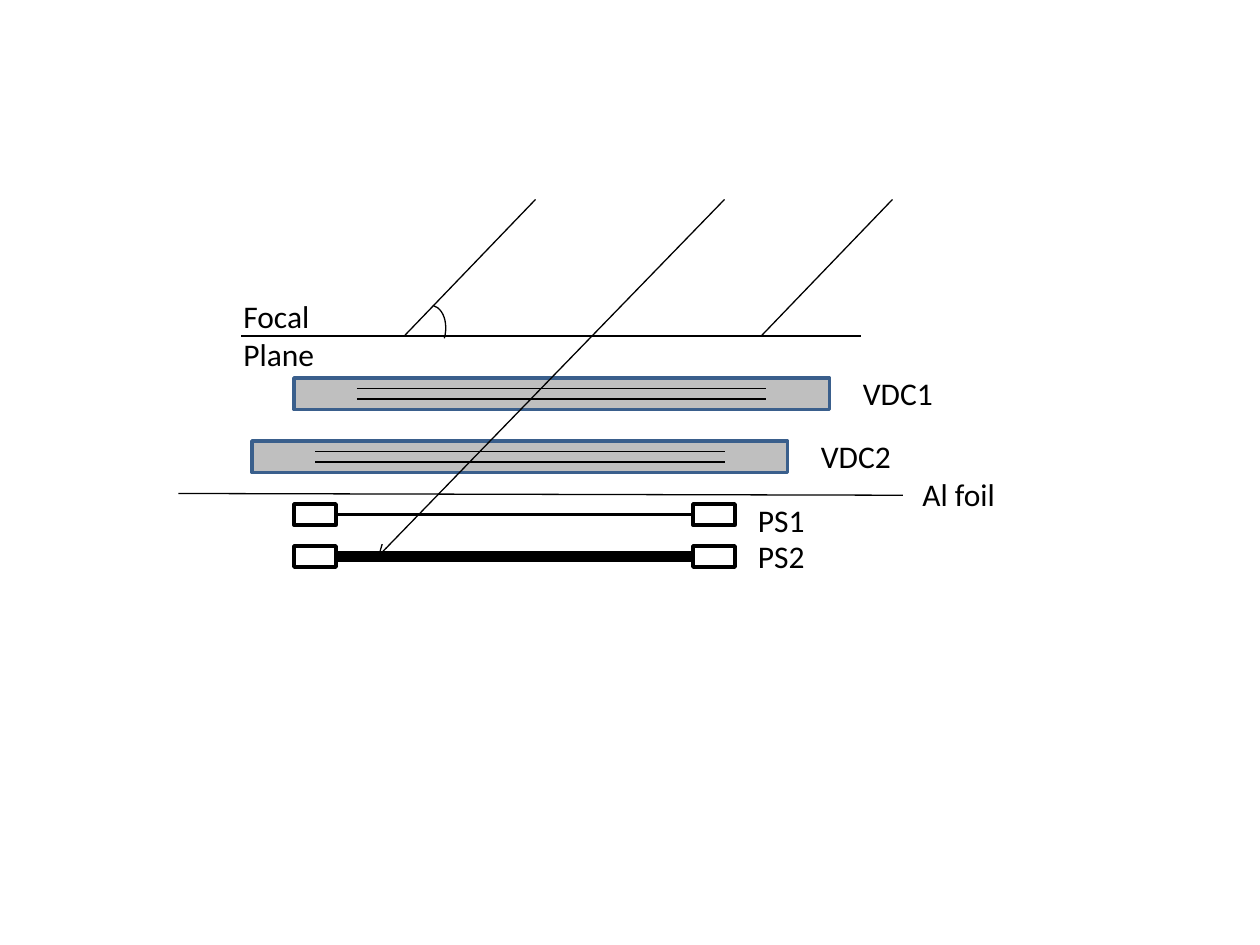
from lxml.etree import SubElement
from pptx import Presentation
from pptx.dml.color import RGBColor
from pptx.enum.shapes import MSO_CONNECTOR, MSO_SHAPE
from pptx.enum.text import MSO_AUTO_SIZE
from pptx.oxml.ns import qn
from pptx.util import Pt

COLORS = {"ink": "000000", "paper": "FFFFFF", "gas": "BFBFBF", "frame": "3A5F8C"}


def color(name):
    return RGBColor.from_string(COLORS[name])


def add_line(slide, start, end, width=0.75, arrow=False):
    line = slide.shapes.add_connector(
        MSO_CONNECTOR.STRAIGHT, *[Pt(v) for v in (*start, *end)])
    line.line.color.rgb = color("ink")
    line.line.width = Pt(width)
    props = line._element.spPr
    if arrow:
        SubElement(props.find(qn("a:ln")), qn("a:tailEnd"), type="arrow")
    SubElement(props, qn("a:effectLst"))
    return line


def add_rect(slide, box, fill, edge):
    rect = slide.shapes.add_shape(MSO_SHAPE.RECTANGLE, *[Pt(v) for v in box])
    rect.shadow.inherit = False
    rect.fill.solid()
    rect.fill.fore_color.rgb = color(fill)
    rect.line.color.rgb = color(edge)
    rect.line.width = Pt(2)
    return rect


def add_label(slide, box, *lines):
    frame = slide.shapes.add_textbox(*[Pt(v) for v in box]).text_frame
    frame.word_wrap = False
    frame.auto_size = MSO_AUTO_SIZE.SHAPE_TO_FIT_TEXT
    frame.text = "\n".join(lines)
    for para in frame.paragraphs:
        para.font.name = "Calibri"
        para.font.size = Pt(18)
        para.font.color.rgb = color("ink")


def add_plane(slide, box):
    x, y, w, h = box
    add_line(slide, (x, y), (x + w, y), 1.5)
    add_label(slide, (x - 6, y - 25.6, 55.4, h), "Focal", "Plane")


def add_chamber(slide, box, name):
    x, y, w, h = box
    add_rect(slide, box, "gas", "frame")
    for part in (1, 2):
        wire = y + h * part / 3
        add_line(slide, (x + 36, wire), (x + w - 36, wire), 1)
    add_label(slide, (x + w + 12, y - 6, 54.7, 29), name)


def add_scint(slide, box, name, width, drop):
    x, y, w, h = box
    left, right = [add_rect(slide, (at, y, 24, h), "paper", "ink")
                   for at in (x, x + w - 24)]
    bar = add_line(slide, (x + 24, y + h / 2), (x + w - 24, y + h / 2), width)
    bar.begin_connect(left, 3)
    bar.end_connect(right, 1)
    add_label(slide, (x + w + 6, y + drop, 42, 29), name)


def add_foil(slide, box):
    x, y, w, h = box
    add_line(slide, (x, y), (x + w, y + h))
    add_label(slide, (x + w + 4, y - 14, 56, 29), "Al foil")


def add_tracks(slide, box):
    x, y, w, h = box
    add_line(slide, (x + 198, y), (x, y + h), arrow=True)
    for foot in (x + 15, x + 219):
        add_line(slide, (foot, y + 78), (foot + 75, y))
    arc = slide.shapes.add_shape(
        MSO_SHAPE.ARC, Pt(x + 16), Pt(y + 60), Pt(22.3), Pt(33))
    arc.shadow.inherit = False
    arc.rotation = 14.8
    arc.fill.background()
    arc.line.color.rgb = color("ink")
    arc.line.width = Pt(0.75)


def main():
    deck = Presentation()
    deck.slide_width, deck.slide_height = Pt(720), Pt(540)
    slide = deck.slides.add_slide(deck.slide_layouts[6])
    add_plane(slide, (138, 192, 354, 51))
    add_chamber(slide, (168, 216, 306, 18), "VDC1")
    add_chamber(slide, (144, 252, 306, 18), "VDC2")
    add_scint(slide, (168, 288, 252, 12), "PS1", 2, -5)
    add_scint(slide, (168, 312, 252, 12), "PS2", 6, -8.9)
    add_foil(slide, (102, 282, 414, 1))
    add_tracks(slide, (216, 114, 294, 204))
    deck.save("out.pptx")


if __name__ == "__main__":
    main()
